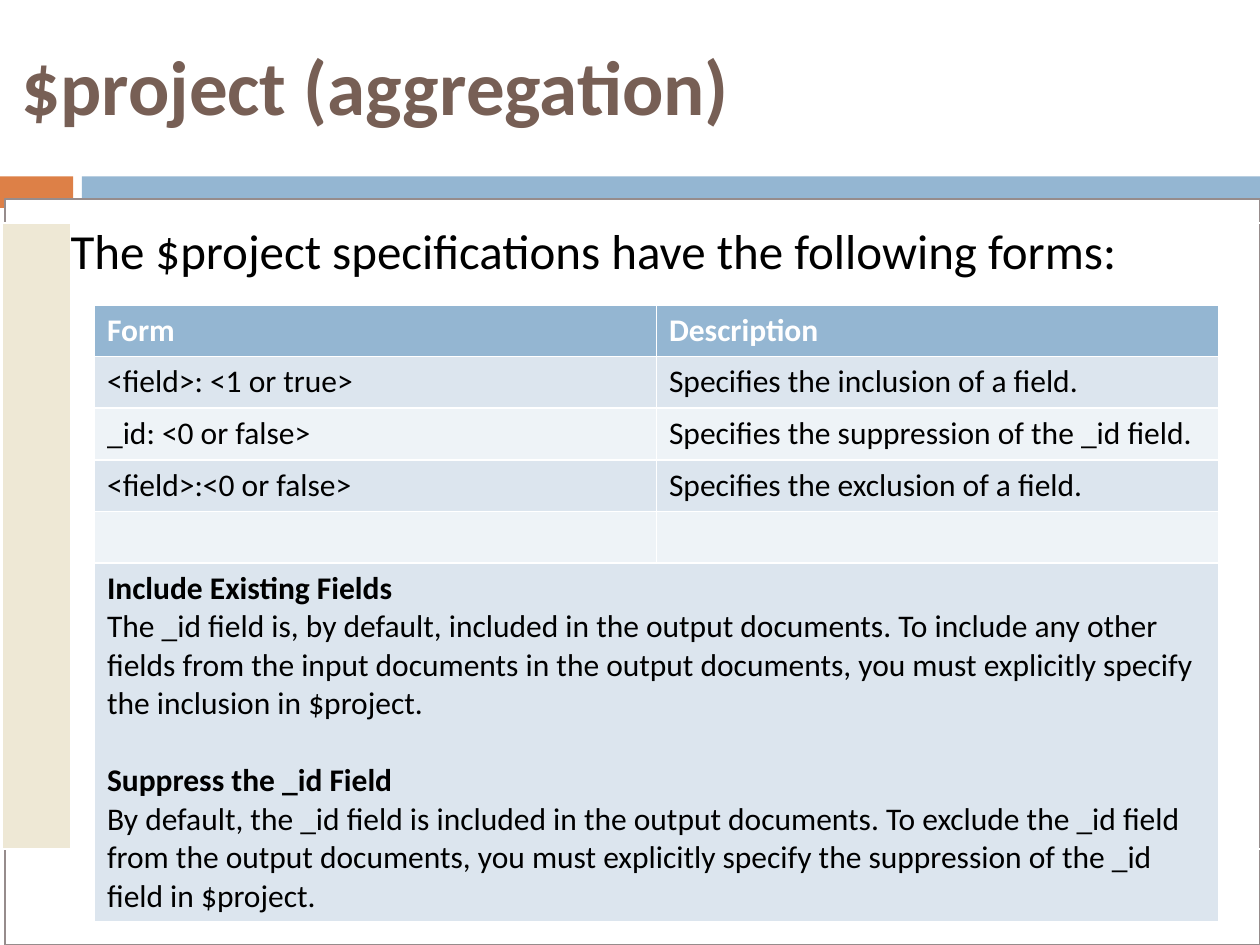
from pptx import Presentation
from pptx.dml.color import RGBColor
from pptx.enum.shapes import MSO_SHAPE
from pptx.enum.text import MSO_ANCHOR, PP_ALIGN
from pptx.util import Inches, Pt

FONT = "Calibri"
WHITE = RGBColor(0xFF, 0xFF, 0xFF)
BLACK = RGBColor(0x00, 0x00, 0x00)
BROWN = RGBColor(0x77, 0x5F, 0x55)
ORANGE = RGBColor(0xDD, 0x80, 0x47)
BLUE = RGBColor(0x94, 0xB6, 0xD2)
GRAY = RGBColor(0x96, 0x8C, 0x8C)
BEIGE = RGBColor(0xEE, 0xE8, 0xD5)
BAND_DARK = RGBColor(0xDC, 0xE5, 0xEE)
BAND_LIGHT = RGBColor(0xEE, 0xF3, 0xF7)

TITLE = "$project (aggregation)"
INTRO = "The $project specifications have the following forms:"
FORMS = [
    ("Form", "Description"),
    ("<field>: <1 or true>", "Specifies the inclusion of a field."),
    ("_id: <0 or false>", "Specifies the suppression of the _id field."),
    ("<field>:<0 or false>", "Specifies the exclusion of a field."),
    ("", ""),
]
NOTES = [
    ("Include Existing Fields",
     "The _id field is, by default, included in the output documents. To include any other "
     "fields from the input documents in the output documents, you must explicitly specify "
     "the inclusion in $project."),
    ("Suppress the _id Field",
     "By default, the _id field is included in the output documents. To exclude the _id field "
     "from the output documents, you must explicitly specify the suppression of "
     "the _id field in $project."),
]
ROW_HEIGHT = 0.41
NOTES_HEIGHT = 2.78


def format_runs(paragraph, size, color, bold=False):
    for run in paragraph.runs:
        run.font.name = FONT
        run.font.size = Pt(size)
        run.font.bold = bold
        run.font.color.rgb = color


def clear_margins(box):
    box.margin_left = box.margin_top = box.margin_right = box.margin_bottom = 0


def fill_solid(target, color):
    target.fill.solid()
    target.fill.fore_color.rgb = color


def add_rectangle(slide, position, color, line_color=None):
    shape = slide.shapes.add_shape(MSO_SHAPE.RECTANGLE, *map(Inches, position))
    shape.shadow.inherit = False
    fill_solid(shape, color)
    if line_color is None:
        shape.line.fill.background()
    else:
        shape.line.color.rgb = line_color
        shape.line.width = Pt(1.5)


def add_title(slide):
    title = slide.shapes.title
    title.left, title.top, title.width, title.height = map(Inches, (0.17, 0.3, 9.67, 0.75))
    frame = title.text_frame
    frame.text = TITLE
    clear_margins(frame)
    frame.vertical_anchor = MSO_ANCHOR.MIDDLE
    frame.paragraphs[0].alignment = PP_ALIGN.LEFT
    format_runs(frame.paragraphs[0], 44, BROWN, bold=True)


def add_intro_table(slide):
    table = slide.shapes.add_table(1, 2, *map(Inches, (0.02, 1.77, 10, 4.97))).table
    table.first_row = table.horz_banding = False
    for column, width in zip(table.columns, (0.54, 9.46)):
        column.width = Inches(width)
    side_cell, text_cell = table.rows[0].cells
    fill_solid(side_cell, BEIGE)
    text_cell.fill.background()
    clear_margins(text_cell)
    text_cell.text = INTRO
    format_runs(text_cell.text_frame.paragraphs[0], 28, BLACK)


def add_forms_table(slide):
    height = ROW_HEIGHT * len(FORMS) + NOTES_HEIGHT
    table = slide.shapes.add_table(
        len(FORMS) + 1, 2, *map(Inches, (0.75, 2.42, 8.92, height))).table
    for row_index, texts in enumerate(FORMS):
        is_header = row_index == 0
        band = BAND_DARK if row_index % 2 else BAND_LIGHT
        table.rows[row_index].height = Inches(ROW_HEIGHT)
        for cell, text in zip(table.rows[row_index].cells, texts):
            fill_solid(cell, BLUE if is_header else band)
            cell.text = text
            format_runs(cell.text_frame.paragraphs[0], 18,
                        WHITE if is_header else BLACK, bold=is_header)

    notes_row = len(FORMS)
    table.rows[notes_row].height = Inches(NOTES_HEIGHT)
    notes_cell = table.cell(notes_row, 0)
    notes_cell.merge(table.cell(notes_row, 1))
    fill_solid(notes_cell, BAND_DARK)
    frame = notes_cell.text_frame
    frame.text = "\n".join(text for note in NOTES for text in note)
    for index, paragraph in enumerate(frame.paragraphs):
        is_heading = index % 2 == 0
        format_runs(paragraph, 18, BLACK, bold=is_heading)
        if is_heading and index > 0:
            paragraph.space_before = Pt(22)


def main():
    presentation = Presentation()
    presentation.slide_width = Inches(10)
    presentation.slide_height = Inches(7.5)
    slide = presentation.slides.add_slide(presentation.slide_layouts[5])
    add_rectangle(slide, (0, 1.4, 0.58, 0.25), ORANGE)
    add_rectangle(slide, (0.65, 1.4, 9.35, 0.25), BLUE)
    add_title(slide)
    add_rectangle(slide, (0.04, 1.58, 9.96, 5.92), WHITE, GRAY)
    add_intro_table(slide)
    add_forms_table(slide)
    presentation.save("out.pptx")


if __name__ == "__main__":
    main()
